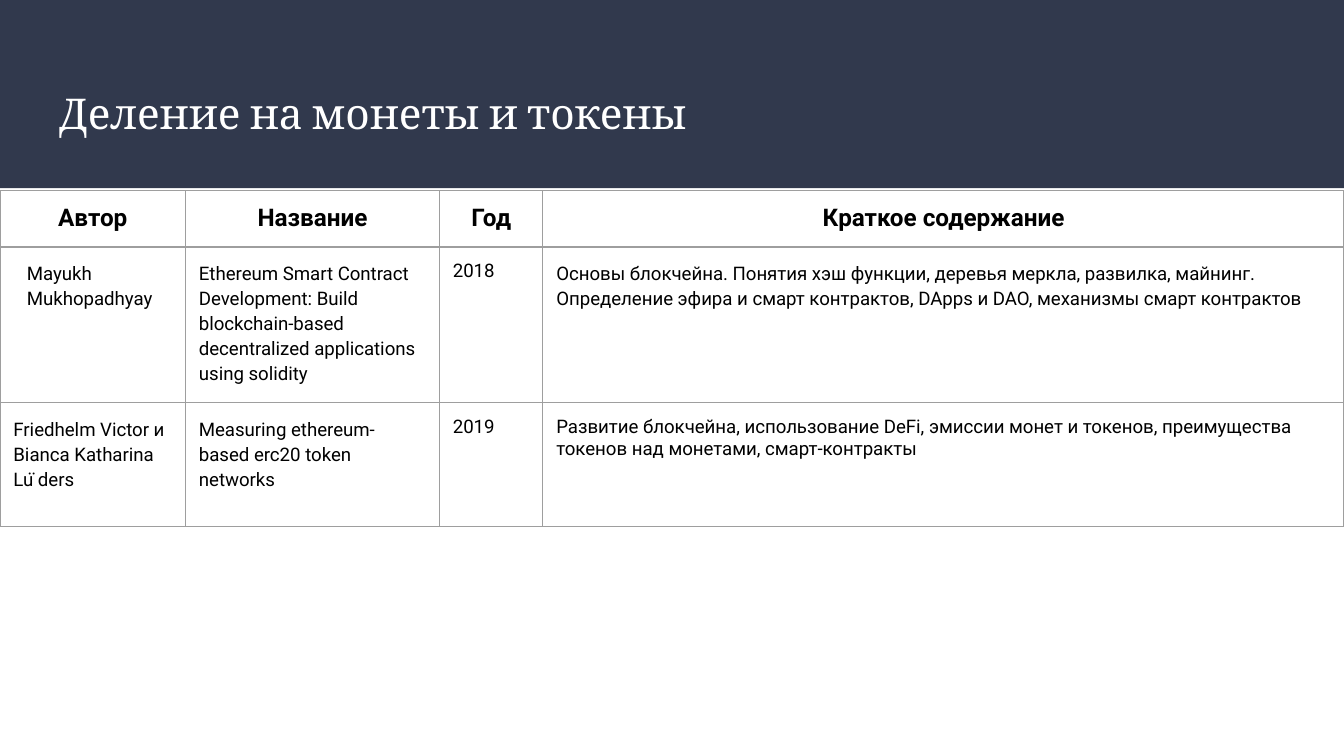
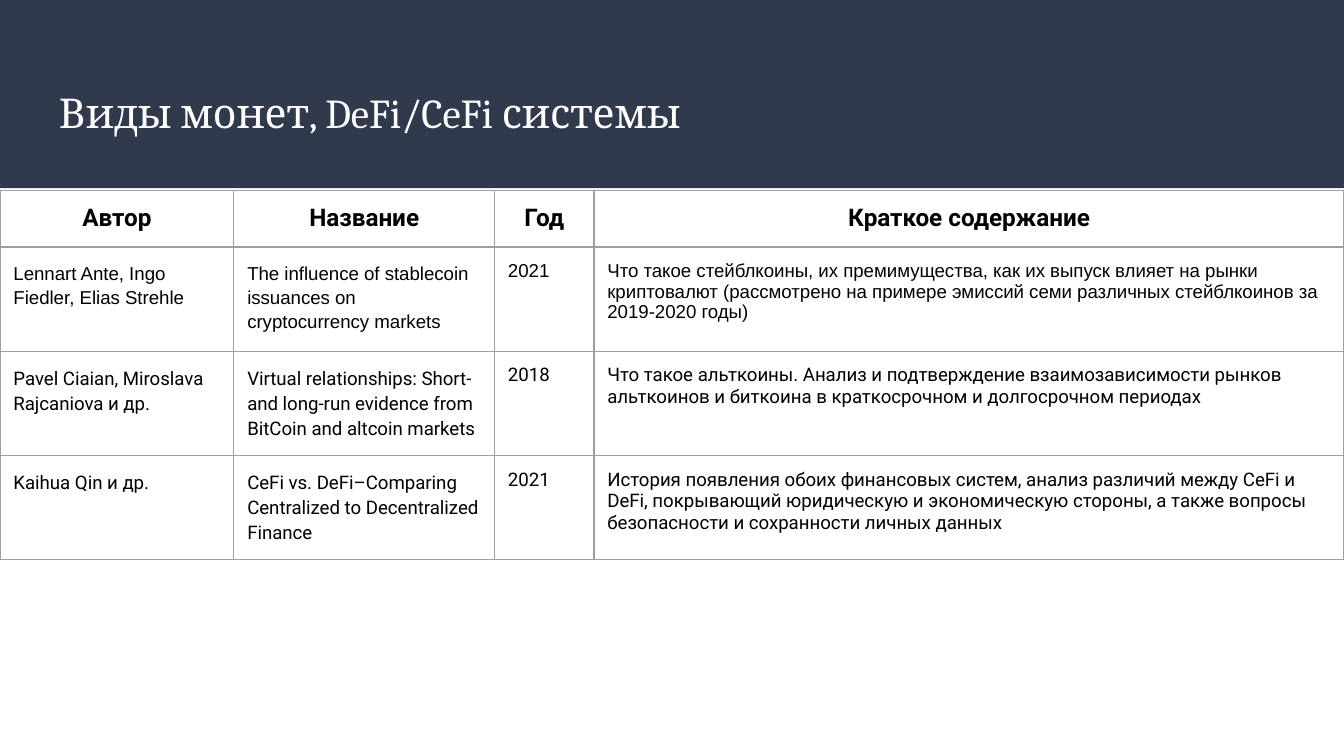
import pptx
import pptx.util
import pptx.dml.color
import pptx.enum.shapes
import pptx.enum.text
import pptx.oxml
import pptx.oxml.ns

Inches = pptx.util.Inches
Pt = pptx.util.Pt
RGBColor = pptx.dml.color.RGBColor

NAVY = RGBColor(0x31, 0x39, 0x4D)
WHITE = RGBColor(0xFF, 0xFF, 0xFF)
BLACK = RGBColor(0, 0, 0)
GRID = RGBColor(0x9E, 0x9E, 0x9E)

SLIDE_WIDTH = 10
SLIDE_HEIGHT = SLIDE_WIDTH * 9 / 16
BAND_HEIGHT = 1.4
TABLE_TOP = 1.42
INSET = 0.1
HEADINGS = ("Автор", "Название", "Год", "Краткое содержание")
SPACED_COLUMNS = (0, 1)

TOPICS = [
    {
        "title": "Деление на монеты и токены",
        "title_size": 22.7,
        "widths": (1.38, 1.89, 0.77, 5.96),
        "heights": (0.41, 0.83, 0.92),
        "sources": [
            {
                "cells": (
                    "Mayukh Mukhopadhyay",
                    "Ethereum Smart Contract Development: Build blockchain-based "
                    "decentralized applications using solidity",
                    "2018",
                    "Основы блокчейна. Понятия хэш функции, деревья меркла, развилка, майнинг.\n"
                    "Определение эфира и смарт контрактов, DApps и DAO, механизмы смарт контрактов",
                ),
                "author_inset": 0.2,
                "summary_spacing": 1.15,
            },
            {
                "cells": (
                    "Friedhelm Victor и Bianca Katharina Lu ̈ders",
                    "Measuring ethereum- based erc20 token networks",
                    "2019",
                    "Развитие блокчейна, использование DeFi, эмиссии монет и токенов, "
                    "преимущества токенов над монетами, смарт-контракты",
                ),
            },
        ],
    },
    {
        "title": "Виды монет, DeFi/CeFi системы",
        "title_size": 22,
        "widths": (1.74, 1.94, 0.74, 5.58),
        "heights": (0.41, 0.71, 0.71, 0.71),
        "sources": [
            {
                "cells": (
                    "Lennart Ante, Ingo Fiedler, Elias Strehle",
                    "The influence of stablecoin issuances on cryptocurrency markets",
                    "2021",
                    "Что такое стейблкоины, их премимущества, как их выпуск влияет на рынки "
                    "криптовалют (рассмотрено на примере эмиссий семи различных стейблкоинов "
                    "за 2019-2020 годы)",
                ),
                "font": "Arial",
            },
            {
                "cells": (
                    "Pavel Ciaian, Miroslava Rajcaniova и др.",
                    "Virtual relationships: Short- and long-run evidence from BitCoin "
                    "and altcoin markets",
                    "2018",
                    "Что такое альткоины. Анализ и подтверждение взаимозависимости рынков "
                    "альткоинов и биткоина в краткосрочном и долгосрочном периодах",
                ),
            },
            {
                "cells": (
                    "Kaihua Qin и др.",
                    "CeFi vs. DeFi–Comparing Centralized to Decentralized Finance",
                    "2021",
                    "История появления обоих финансовых систем, анализ различий между CeFi "
                    "и DeFi, покрывающий юридическую и экономическую стороны, а также вопросы "
                    "безопасности и сохранности личных данных",
                ),
            },
        ],
    },
]


def style_runs(paragraph, font, size, color, bold=False):
    for run in paragraph.runs:
        run.font.name = font
        run.font.size = Pt(size)
        run.font.color.rgb = color
        run.font.bold = bold
    paragraph._p.get_or_add_endParaRPr().set("sz", str(int(size * 100)))


def set_insets(holder, left=INSET):
    holder.margin_left = Inches(left)
    holder.margin_top = holder.margin_right = holder.margin_bottom = Inches(INSET)


def add_header(slide, title, size):
    band = slide.shapes.add_shape(
        pptx.enum.shapes.MSO_SHAPE.RECTANGLE, 0, 0, Inches(SLIDE_WIDTH), Inches(BAND_HEIGHT)
    )
    band.shadow.inherit = False
    band.fill.solid()
    band.fill.fore_color.rgb = NAVY
    band.line.fill.background()

    heading = slide.shapes.add_textbox(Inches(0.34), Inches(0.55), Inches(9.32), Inches(0.68))
    frame = heading.text_frame
    frame.word_wrap = True
    frame.vertical_anchor = pptx.enum.text.MSO_ANCHOR.TOP
    set_insets(frame)
    frame.text = title
    style_runs(frame.paragraphs[0], "Cambria", size, WHITE)


def add_borders(cell):
    properties = cell._tc.get_or_add_tcPr()
    for position, side in enumerate(("lnL", "lnR", "lnT", "lnB")):
        border = pptx.oxml.parse_xml(
            f'<a:{side} {pptx.oxml.ns.nsdecls("a")} w="{Pt(0.75)}">'
            f'<a:solidFill><a:srgbClr val="{GRID}"/></a:solidFill></a:{side}>'
        )
        properties.insert(position, border)


def fill_cell(cell, text, left_inset=INSET):
    cell.fill.background()
    add_borders(cell)
    set_insets(cell, left_inset)
    cell.text_frame.text = text
    return cell.text_frame.paragraphs


def fill_source(table, row, source):
    for column, text in enumerate(source["cells"]):
        left = source.get("author_inset", INSET) if column == 0 else INSET
        for paragraph in fill_cell(table.cell(row, column), text, left):
            style_runs(paragraph, source.get("font", "Roboto"), 10, BLACK)
            if column in SPACED_COLUMNS:
                paragraph.line_spacing = 1.15
                paragraph.space_before = Pt(12)
                indents = paragraph._p.get_or_add_pPr()
                indents.set("marL", "0")
                indents.set("indent", str(Inches(-0.25)))
            elif column == 3 and "summary_spacing" in source:
                paragraph.line_spacing = source["summary_spacing"]


def add_sources(slide, topic):
    widths, heights = topic["widths"], topic["heights"]
    table = slide.shapes.add_table(
        len(heights), len(widths), 0, Inches(TABLE_TOP), Inches(SLIDE_WIDTH), Inches(sum(heights))
    ).table
    table.first_row = False
    table.horz_banding = False
    for column, width in zip(table.columns, widths):
        column.width = Inches(width)
    for row, height in zip(table.rows, heights):
        row.height = Inches(height)

    for column, heading in enumerate(HEADINGS):
        paragraph = fill_cell(table.cell(0, column), heading)[0]
        paragraph.alignment = pptx.enum.text.PP_ALIGN.CENTER
        style_runs(paragraph, "Roboto", 13, BLACK, bold=True)
    for row, source in enumerate(topic["sources"], start=1):
        fill_source(table, row, source)


def main():
    deck = pptx.Presentation()
    deck.slide_width = Inches(SLIDE_WIDTH)
    deck.slide_height = Inches(SLIDE_HEIGHT)
    for topic in TOPICS:
        slide = deck.slides.add_slide(deck.slide_layouts[6])
        add_header(slide, topic["title"], topic["title_size"])
        add_sources(slide, topic)
    deck.save("out.pptx")


if __name__ == "__main__":
    main()
